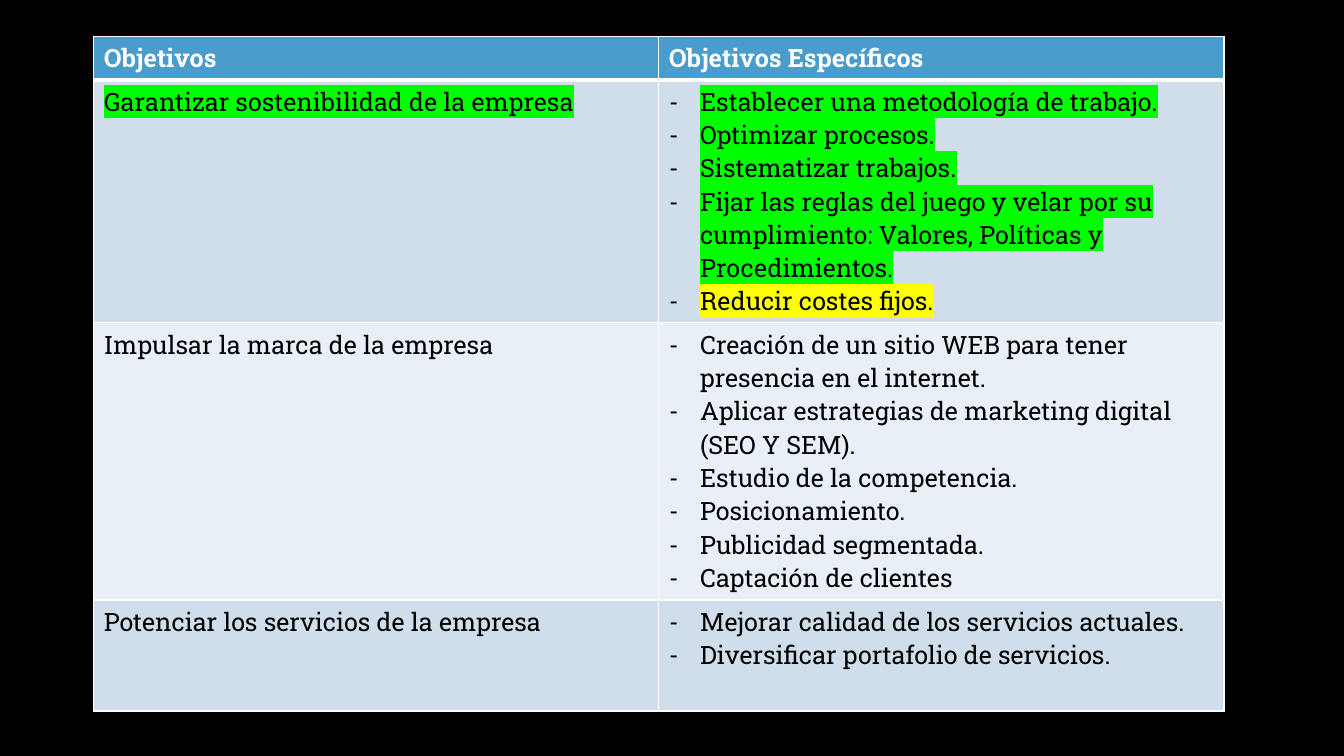
from lxml.etree import SubElement
from pptx import Presentation
from pptx.dml.color import RGBColor
from pptx.oxml.ns import qn
from pptx.util import Inches, Pt

BLACK = RGBColor(0x00, 0x00, 0x00)
WHITE = RGBColor(0xFF, 0xFF, 0xFF)
HEADER_BLUE = RGBColor(0x4A, 0x9C, 0xCC)
BAND_BLUE = RGBColor(0xD0, 0xDE, 0xEC)
BAND_PALE = RGBColor(0xE9, 0xEF, 0xF6)
GREEN = RGBColor(0x00, 0xFF, 0x00)
YELLOW = RGBColor(0xFF, 0xFF, 0x00)

FONT = "Roboto Slab"
INDENT = Inches(0.31)
TABLE_BOX = (0.93, 0.36, 11.21, 6.68)
ROW_SHARES = (0.42, 2.41, 2.75, 1.1)

HEADINGS = ("Objetivos", "Objetivos Específicos")
OBJECTIVES = [
    (("Garantizar sostenibilidad de la empresa", GREEN), [
        ("Establecer una metodología de trabajo.", GREEN),
        ("Optimizar procesos.", GREEN),
        ("Sistematizar trabajos.", GREEN),
        ("Fijar las reglas del juego y velar por su cumplimiento: "
         "Valores, Políticas y Procedimientos.", GREEN),
        ("Reducir costes fijos.", YELLOW),
    ]),
    (("Impulsar la marca de la empresa", None), [
        ("Creación de un sitio WEB para tener presencia en el internet.", None),
        ("Aplicar estrategias de marketing digital (SEO Y SEM).", None),
        ("Estudio de la competencia.", None),
        ("Posicionamiento.", None),
        ("Publicidad segmentada.", None),
        ("Captación de clientes", None),
    ]),
    (("Potenciar los servicios de la empresa", None), [
        ("Mejorar calidad de los servicios actuales.", None),
        ("Diversificar portafolio de servicios.", None),
    ]),
]


def write_text(paragraph, text, color=BLACK, bold=False, highlight=None, dash=False):
    """Write one run, optionally highlighted or as a dash item."""
    run = paragraph.add_run()
    run.text = text
    font = run.font
    font.size, font.bold = Pt(18), bold
    font.color.rgb = color
    if highlight is not None:
        mark = SubElement(run._r.get_or_add_rPr(), qn("a:highlight"))
        SubElement(mark, qn("a:srgbClr"), val=str(highlight))
    font.name = FONT
    if dash:
        properties = paragraph._p.get_or_add_pPr()
        properties.set("marL", str(INDENT))
        properties.set("indent", str(-INDENT))
        SubElement(properties, qn("a:buFont"), typeface=FONT)
        SubElement(properties, qn("a:buChar"), char="-")


def style_cell(cell, fill, top=1, bottom=1):
    """Give a cell its white borders and its fill."""
    properties = cell._tc.get_or_add_tcPr()
    for side, width in (("L", 1), ("R", 1), ("T", top), ("B", bottom)):
        line = SubElement(properties, qn(f"a:ln{side}"), w=str(Pt(width)))
        solid = SubElement(line, qn("a:solidFill"))
        SubElement(solid, qn("a:srgbClr"), val=str(WHITE))
    cell.fill.solid()
    cell.fill.fore_color.rgb = fill


def add_objectives_table(slide, left, top, width, height):
    """Place the table of objectives in the given box."""
    frame = slide.shapes.add_table(len(OBJECTIVES) + 1, len(HEADINGS),
                                   Inches(left), Inches(top), Inches(width), Inches(height))
    table = frame.table
    for row, share in zip(table.rows, ROW_SHARES):
        row.height = Inches(height * share / sum(ROW_SHARES))

    for column, heading in enumerate(HEADINGS):
        cell = table.cell(0, column)
        style_cell(cell, HEADER_BLUE, bottom=3)
        write_text(cell.text_frame.paragraphs[0], heading, color=WHITE, bold=True)

    for row, (objective, specifics) in enumerate(OBJECTIVES, start=1):
        for column, items in enumerate(([objective], specifics)):
            cell = table.cell(row, column)
            style_cell(cell, BAND_BLUE if row % 2 else BAND_PALE, top=3 if row == 1 else 1)
            for index, (text, highlight) in enumerate(items):
                text_frame = cell.text_frame
                paragraph = text_frame.add_paragraph() if index else text_frame.paragraphs[0]
                write_text(paragraph, text, highlight=highlight, dash=column == 1)


def main():
    """Build the slide and save it."""
    presentation = Presentation()
    presentation.slide_width = Inches(13.33)
    presentation.slide_height = Inches(7.5)
    slide = presentation.slides.add_slide(presentation.slide_layouts[6])
    slide.background.fill.solid()
    slide.background.fill.fore_color.rgb = BLACK
    add_objectives_table(slide, *TABLE_BOX)
    presentation.save("out.pptx")


if __name__ == "__main__":
    main()
